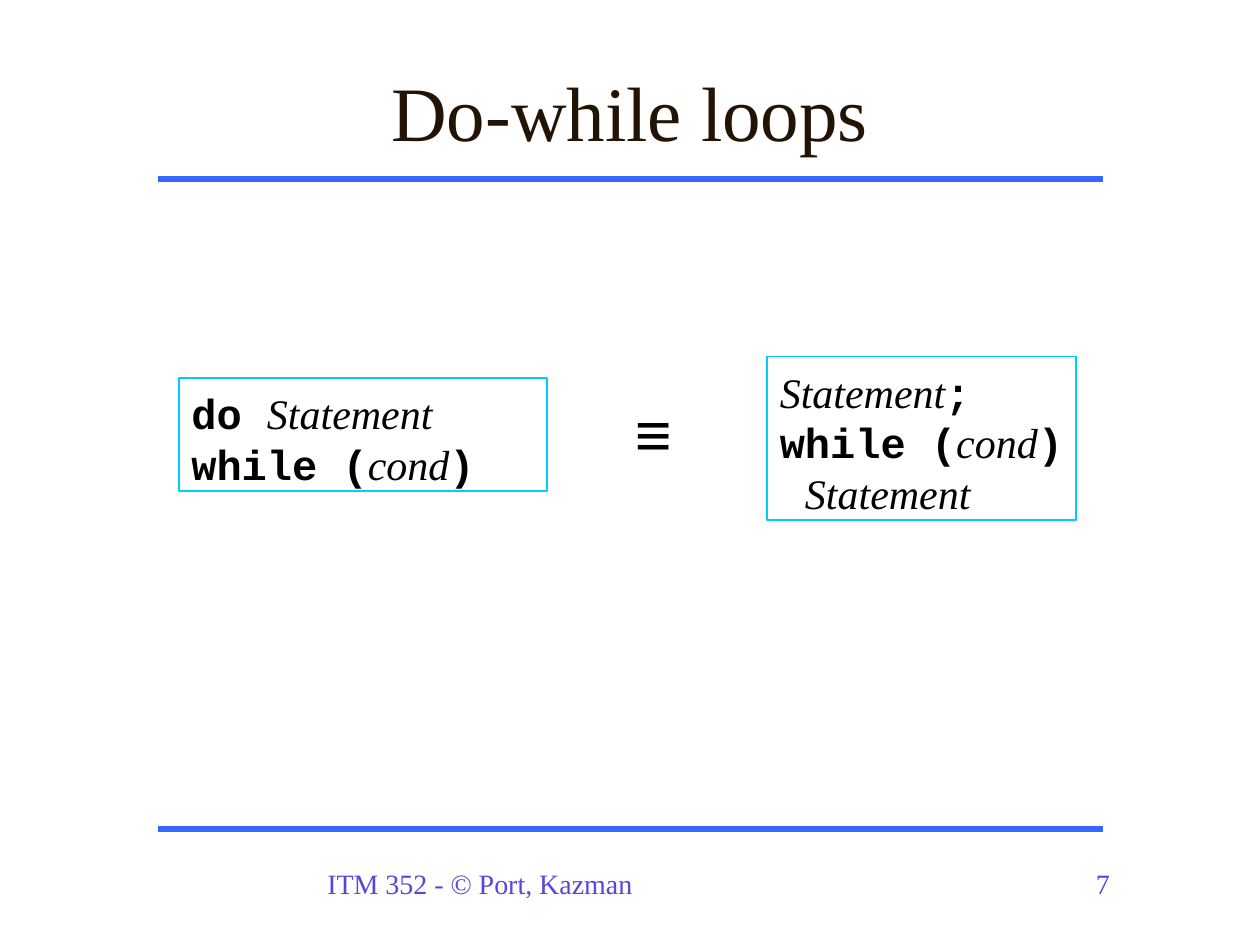
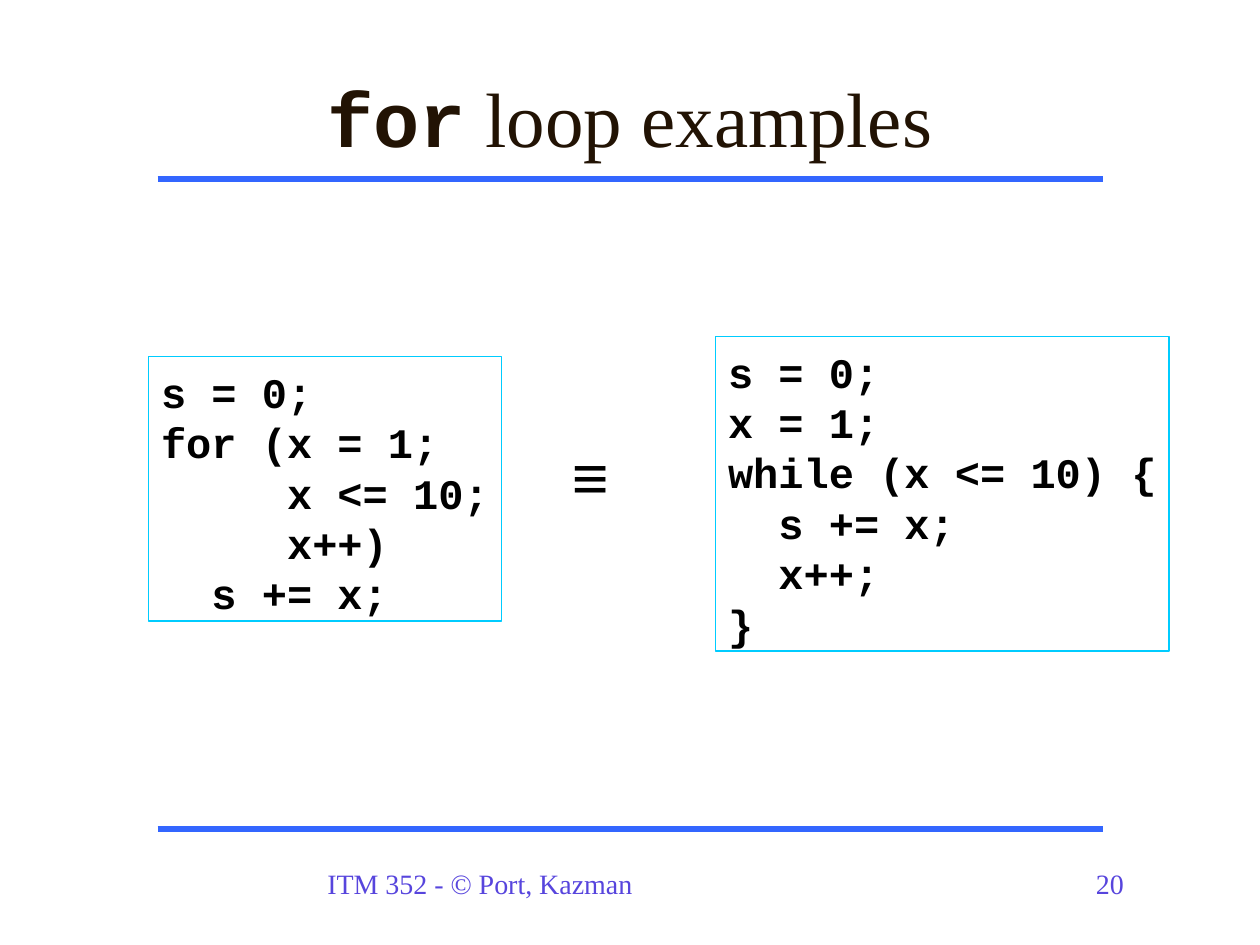
from pptx import Presentation
from pptx.dml.color import RGBColor
from pptx.enum.shapes import MSO_CONNECTOR, MSO_SHAPE
from pptx.enum.text import MSO_ANCHOR, PP_ALIGN
from pptx.oxml.ns import qn
from pptx.util import Inches, Pt
from lxml import etree

STRAIGHT = MSO_CONNECTOR.STRAIGHT
RECTANGLE = MSO_SHAPE.RECTANGLE
TOP, MIDDLE = MSO_ANCHOR.TOP, MSO_ANCHOR.MIDDLE
LEFT, CENTER = PP_ALIGN.LEFT, PP_ALIGN.CENTER

RULE, FRAME, FOOTER, TITLE, INK = "3366FF", "00CCFF", "5745DD", "221304", "000000"
CODE = ("Courier New", True, False)
TERM = ("Times New Roman", False, True)
PLAIN = ("Times New Roman", False, False)
SYMBOL = ("Arial", False, False)
LINE_HEIGHT = 1.2
CODE_DROP = 0.08


def rgb(value):
    return RGBColor.from_string(value)


def style_font(font, style):
    font.name, font.bold, font.italic = style


def write(shape, lines, size, color, align=LEFT, anchor=TOP, right=0.1):
    frame = shape.text_frame
    frame.word_wrap = True
    frame.vertical_anchor = anchor
    has_code = any(style == CODE for line in lines for _, style in line)
    drop = CODE_DROP * size / 72 if has_code else 0
    frame.margin_left, frame.margin_right = Inches(0.1), Inches(right)
    frame.margin_top, frame.margin_bottom = Inches(0.05 + drop), Inches(0.05 - drop)
    for index, line in enumerate(lines):
        para = frame.add_paragraph() if index else frame.paragraphs[0]
        para.alignment = align
        para.line_spacing = Pt(LINE_HEIGHT * size)
        para.font.size = Pt(size)
        para.font.color.rgb = rgb(color)
        agree = len({style for _, style in line}) == 1
        if agree:
            style_font(para.font, line[0][1])
        for text, style in line:
            span = para.add_run()
            span.text = text
            if not agree:
                style_font(span.font, style)


def add_text(page, box, lines, size, color, **options):
    shape = page.shapes.add_textbox(*map(Inches, box))
    write(shape, lines, size, color, **options)


def add_rule(page, left, top, width):
    rule = page.shapes.add_connector(
        STRAIGHT, Inches(left), Inches(top), Inches(left + width), Inches(top))
    rule.line.color.rgb = rgb(RULE)
    rule.line.width = Pt(3)
    etree.SubElement(rule._element.spPr, qn("a:effectLst"))


def add_code_box(page, box, lines):
    frame = page.shapes.add_shape(RECTANGLE, *map(Inches, box))
    frame.shadow.inherit = False
    frame.fill.background()
    frame.line.color.rgb = rgb(FRAME)
    frame.line.width = Pt(1)
    write(frame, lines, 24, INK, right=0)


def add_page(deck, title, number):
    page = deck.slides.add_slide(deck.slide_layouts[6])
    for top in (1.42, 6.58):
        add_rule(page, 1.25, top, 7.5)
    add_text(page, (2.5, 6.83, 4.17, 0.37), [[("ITM 352 - © Port, Kazman", PLAIN)]], 16, FOOTER)
    add_text(page, (8.6, 6.83, 0.74, 0.37), [[(str(number), PLAIN)]], 16, FOOTER)
    add_text(page, (0.75, 0.25, 8.5, 1.25), [title], 44, TITLE, align=CENTER, anchor=MIDDLE)
    return page


def add_equivalence(page, left_box, left_lines, sign_at, right_box, right_lines):
    add_code_box(page, left_box, left_lines)
    add_text(page, (*sign_at, 0.6, 0.7), [[("≡", SYMBOL)]], 36, INK)
    add_code_box(page, right_box, right_lines)


def code_lines(*lines):
    return [[(line, CODE)] for line in lines]


def main():
    deck = Presentation()
    deck.slide_width, deck.slide_height = Inches(10), Inches(7.5)

    statement = ("Statement", TERM)
    while_cond = [("while (", CODE), ("cond", TERM), (")", CODE)]
    page = add_page(deck, [("Do-while loops", PLAIN)], 7)
    add_equivalence(
        page,
        (1.42, 3, 2.92, 0.9), [[("do ", CODE), statement], while_cond],
        (4.94, 3.08),
        (6.09, 2.83, 2.45, 1.3),
        [[statement, (";", CODE)], while_cond, [(" ", CODE), statement]])

    page = add_page(deck, [("for", CODE), (" loop examples", PLAIN)], 20)
    add_equivalence(
        page,
        (1.18, 2.83, 2.8, 2.1),
        code_lines("s = 0;", "for (x = 1;", "     x <= 10;", "     x++)", "  s += x;"),
        (4.44, 3.42),
        (5.68, 2.67, 3.6, 2.5),
        code_lines("s = 0;", "x = 1;", "while (x <= 10) {", "  s += x;", "  x++;", "}"))

    deck.save("out.pptx")


if __name__ == "__main__":
    main()
